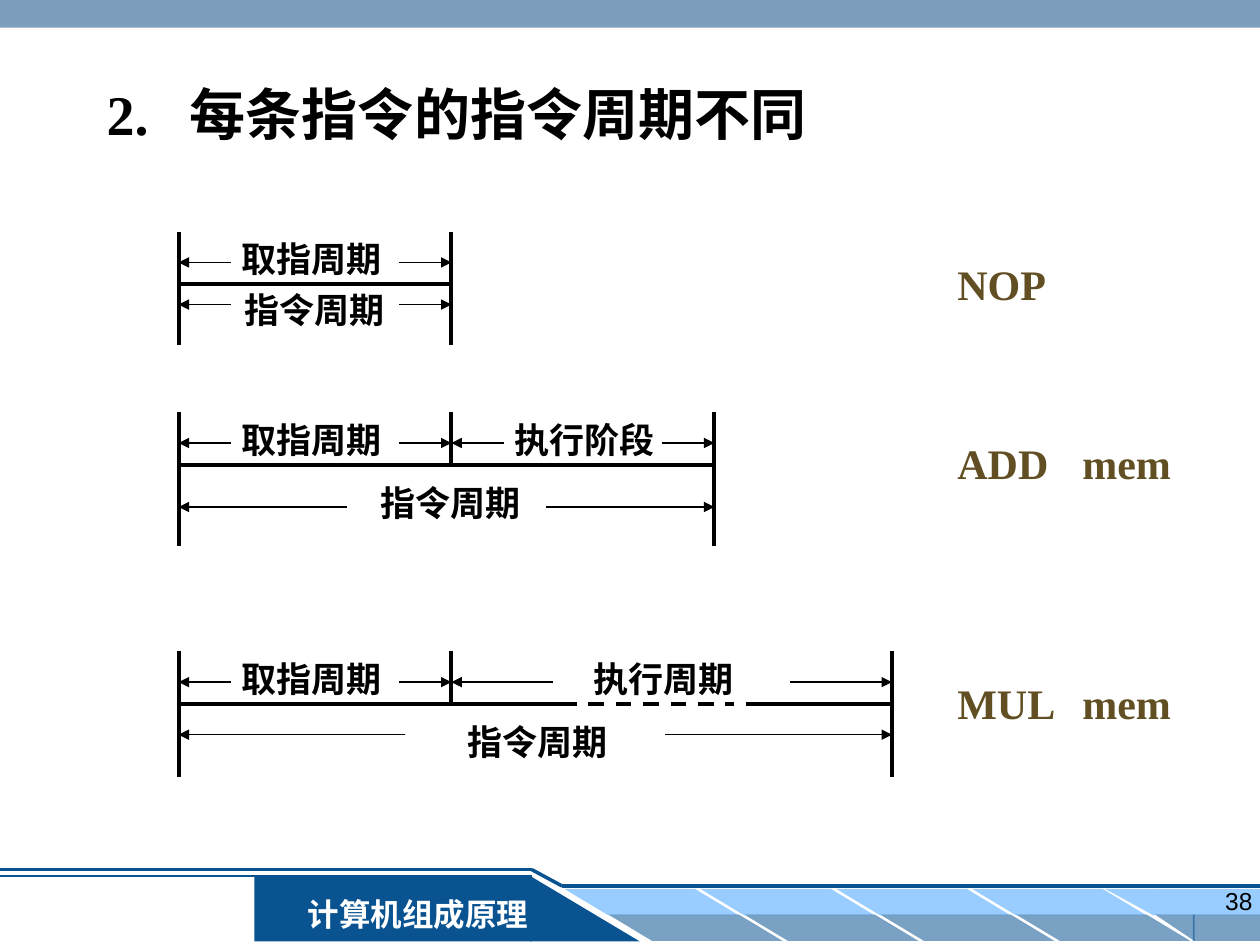
from collections import namedtuple

from lxml import etree
from pptx import Presentation
from pptx import util as u
from pptx.dml.color import RGBColor
from pptx.enum import dml, shapes, text
from pptx.oxml import ns

Box = namedtuple("Box", "left top width height")
Span = namedtuple("Span", "label start end arrow shift")

NAVY, SKY, BLACK, OLIVE = "095391", "99CCFF", "000000", "614F23"
SERIF = "Times New Roman"
FETCH_END, AXIS_Y, UPPER_Y = 5.5, 1.06, 0.62
LABEL_WIDTH, LABEL_HEIGHT = 3.33, 1.12


def colour(value):
    """Turn a hex string into a colour."""
    return RGBColor.from_string(value)


def lengths(*values):
    """Turn centimetres into slide lengths."""
    return [u.Cm(value) for value in values]


def add_line(slide, start, end, width, ink=BLACK, dash=False, arrow=False):
    """Draw a straight line, with an arrowhead at its end if asked."""
    line = slide.shapes.add_connector(
        shapes.MSO_CONNECTOR.STRAIGHT, *lengths(*start, *end))
    line.line.color.rgb = colour(ink)
    line.line.width = u.Pt(width)
    if dash:
        line.line.dash_style = dml.MSO_LINE.DASH
    if arrow:
        etree.SubElement(line.line._get_or_add_ln(), ns.qn("a:tailEnd"), type="triangle")
    etree.SubElement(line._element.spPr, ns.qn("a:effectLst"))


def add_block(slide, kind, box, fill, opacity=100, slant=None):
    """Draw a plain filled shape without outline."""
    block = slide.shapes.add_shape(kind, *lengths(*box))
    block.shadow.inherit = False
    block.line.fill.background()
    block.fill.solid()
    block.fill.fore_color.rgb = colour(fill)
    if opacity < 100:
        ink = block._element.spPr.find(".//" + ns.qn("a:srgbClr"))
        etree.SubElement(ink, ns.qn("a:alpha"), val=str(opacity * 1000))
    if slant:
        block.adjustments[0] = slant
        block._element.spPr.xfrm.set("flipH", "1")
    return block


def write(shape, words, size, font=SERIF, ink=BLACK, bold=True,
          align=text.PP_ALIGN.LEFT, anchor=text.MSO_ANCHOR.TOP, wrap=True, tab=None):
    """Put formatted words into a shape."""
    frame = shape.text_frame
    frame.word_wrap = wrap
    frame.vertical_anchor = anchor
    paragraph = frame.paragraphs[0]
    paragraph.text = words
    paragraph.alignment = align
    if tab:
        stops = etree.SubElement(paragraph._p.get_or_add_pPr(), ns.qn("a:tabLst"))
        etree.SubElement(stops, ns.qn("a:tab"), pos=str(u.Cm(tab)), algn="l")
    for run in paragraph.runs:
        run.font.name = font
        run.font.size = u.Pt(size)
        run.font.bold = bold
        run.font.color.rgb = colour(ink)


def add_text(slide, box, words, size, **style):
    """Add a text box with formatted words."""
    write(slide.shapes.add_textbox(*lengths(*box)), words, size, **style)


def footer(slide, box):
    """Draw the footer band with course name and page number."""
    kinds = shapes.MSO_SHAPE
    x, y = box.left, box.top
    right = x + box.width
    shoulder, ramp = x + 10.72, x + 11.33
    light_y, dark_y, tile_height = y + 0.39, y + 0.91, 0.53
    add_block(slide, kinds.RECTANGLE, Box(x + 5.13, y + 0.13, 5.59, 1.32), NAVY)
    add_block(slide, kinds.RIGHT_TRIANGLE, Box(x + 10.69, y + 0.13, 2.21, 1.32), NAVY)
    for column in range(4):
        offset = x + 2.74 * column
        add_block(slide, kinds.PARALLELOGRAM,
                  Box(offset + 11.38, light_y, 3.51, tile_height), SKY, slant=1.66)
        add_block(slide, kinds.PARALLELOGRAM,
                  Box(offset + 12.27, dark_y, 3.51, tile_height), NAVY, 54, slant=1.66)
    for left, top, width, fill, opacity in (
            (23.22, light_y, 0.97, SKY, 100), (24.05, dark_y, 0.79, NAVY, 54)):
        add_block(slide, kinds.RECTANGLE,
                  Box(x + left, top, box.width - left, tile_height), fill, opacity)
        corner = add_block(slide, kinds.RIGHT_TRIANGLE,
                           Box(x + left - width + 0.03, top, width, tile_height),
                           fill, opacity)
        corner.rotation = 180
    add_line(slide, (x, y), (shoulder, y), 2, NAVY)
    add_line(slide, (shoulder, y), (ramp, y + 0.33), 2, NAVY)
    add_line(slide, (ramp, y + 0.33), (right, y + 0.33), 2, NAVY)
    add_line(slide, (x, y + 0.13), (shoulder, y + 0.13), 1.5, NAVY)
    course = add_block(slide, kinds.RECTANGLE, Box(x + 5.82, y + 0.38, 5.21, 1.02), NAVY)
    write(course, "计算机组成原理", 18, ink="FFFFFF",
          align=text.PP_ALIGN.CENTER, anchor=text.MSO_ANCHOR.MIDDLE)
    add_text(slide, Box(x + 19.58, y + 0.2, 5.92, 1.32), "38", 14,
             font="Arial", bold=False, align=text.PP_ALIGN.RIGHT)


def add_span(slide, box, span, arrow_y, label_y):
    """Label a stretch of time between two outward arrows."""
    start, end = box.left + span.start, box.left + span.end
    y = box.top + arrow_y
    add_line(slide, (start + span.arrow, y), (start, y), 0.75, arrow=True)
    add_line(slide, (end - span.arrow, y), (end, y), 0.75, arrow=True)
    left = (start + end - LABEL_WIDTH) / 2 + span.shift
    add_text(slide, Box(left, box.top + label_y, LABEL_WIDTH, LABEL_HEIGHT),
             span.label, 20, align=text.PP_ALIGN.CENTER, wrap=False)


def timeline(slide, box, stages, total, total_y, label_y, gap=None):
    """Draw one instruction's stages above the axis and its whole cycle below."""
    x, y, right = box.left, box.top, box.left + box.width
    axis = y + AXIS_Y
    if gap:
        dash_start, dash_end = x + gap[0], x + gap[1]
        add_line(slide, (x, axis), (dash_start - 0.23, axis), 2.25)
        add_line(slide, (dash_start, axis), (dash_end, axis), 2.25, dash=True)
        add_line(slide, (dash_end + 0.23, axis), (right, axis), 2.25)
    else:
        add_line(slide, (x, axis), (right, axis), 2.25)
    for edge in (x, right):
        add_line(slide, (edge, y), (edge, y + box.height), 2.25)
    for stage in stages:
        add_span(slide, box, stage, UPPER_Y, 0)
        if stage.end < box.width:
            add_line(slide, (x + stage.end, y), (x + stage.end, axis), 2.25)
    add_span(slide, box, total, total_y, label_y)


def main():
    """Build the slide and save it."""
    deck = Presentation()
    deck.slide_width, deck.slide_height = lengths(25.4, 19.05)
    slide = deck.slides.add_slide(deck.slide_layouts[6])
    add_block(slide, shapes.MSO_SHAPE.RECTANGLE, Box(0, 0, 25.4, 0.56), "336699", 63)
    footer(slide, Box(0, 17.53, 25.4, 1.45))
    add_text(slide, Box(1.9, 1.47, 15.88, 1.63), "2.\t每条指令的指令周期不同", 32, tab=1.68)

    fetch = Span("取指周期", 0, FETCH_END, 1.05, -0.06)
    add_execution = Span("执行阶段", FETCH_END, 10.8, 1.05, 0.03)
    mul_execution = Span("执行周期", FETCH_END, 14.38, 2.05, -0.17)
    cycle = "指令周期"
    timeline(slide, Box(3.6, 4.67, FETCH_END, 2.29), [fetch],
             Span(cycle, 0, FETCH_END, 1.05, 0), 1.47, 1.02)
    timeline(slide, Box(3.6, 8.31, 10.8, 2.69), [fetch, add_execution],
             Span(cycle, 0, 10.8, 3.39, 0.08), 1.91, 1.27)
    timeline(slide, Box(3.6, 13.13, 14.38, 2.54), [fetch, mul_execution],
             Span(cycle, 0, 14.38, 4.57, 0.04), 1.68, 1.27, gap=(8.26, 11.2))

    for instruction, top in (("NOP", 5.08), ("ADD\tmem", 8.69), ("MUL\tmem", 13.54)):
        add_text(slide, Box(19.05, top, 6.35, 1.27), instruction, 24, ink=OLIVE, tab=2.52)
    deck.save("out.pptx")


if __name__ == "__main__":
    main()
